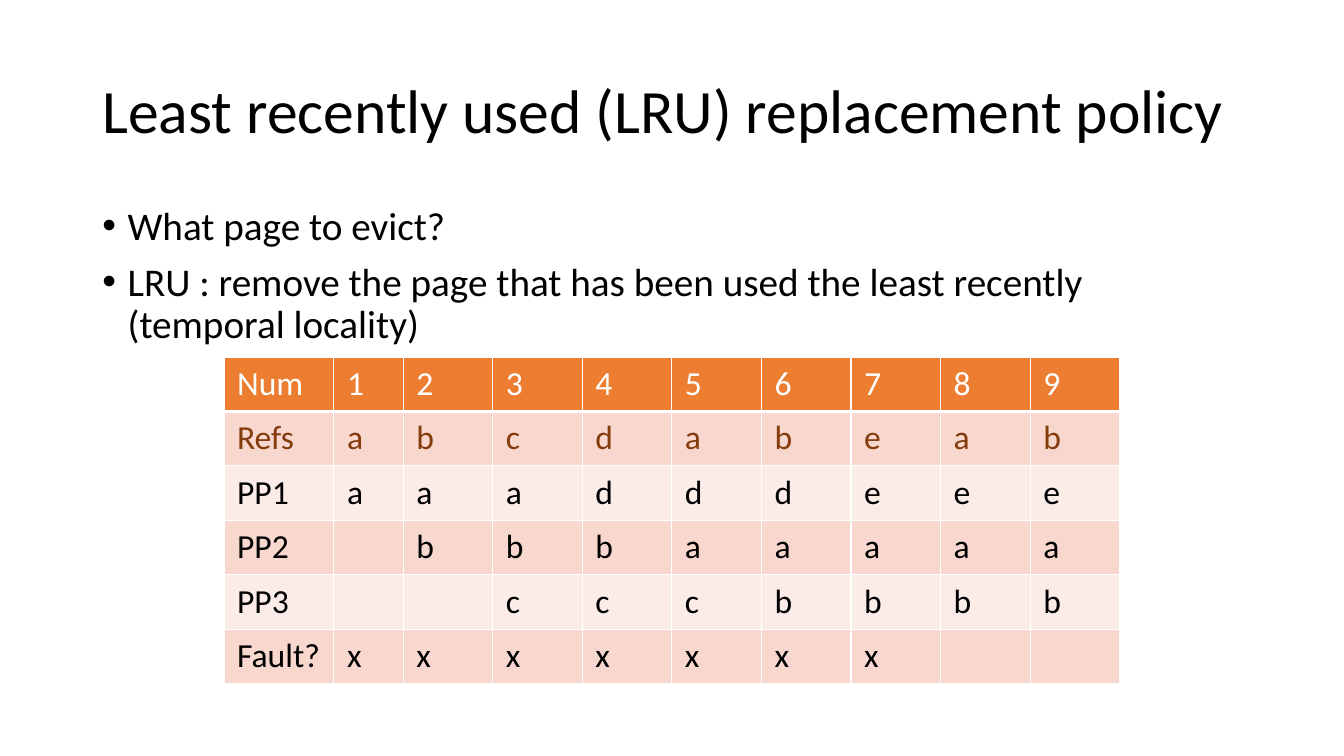
from lxml.etree import SubElement as Sub
from pptx import Presentation
from pptx.dml.color import RGBColor as RGB
from pptx.enum.text import MSO_ANCHOR as Anchor, MSO_AUTO_SIZE as Fit, PP_ALIGN as Align
from pptx.oxml.ns import qn
from pptx.util import Pt

COLORS = {"ink": "000000", "white": "FFFFFF", "head": "ED7D31",
          "refs": "843C0C", "dark": "F8D7CE", "light": "FCECE8"}


class Deck:
    font = "Calibri"

    def __init__(self, wide, high):
        self.show = Presentation()
        self.show.slide_width, self.show.slide_height = Pt(wide), Pt(high)
        self.slide = self.show.slides.add_slide(self.show.slide_layouts[1])

    def style(self, para, size, color):
        para.font.name, para.font.size = self.font, Pt(size)
        para.font.color.rgb = RGB.from_string(COLORS[color])

    def place(self, holder, box, anchor):
        holder.left, holder.top, holder.width, holder.height = map(Pt, box)
        frame = holder.text_frame
        frame.auto_size, frame.vertical_anchor = Fit.NONE, anchor
        return frame

    def title(self, text, box):
        frame = self.place(self.slide.shapes.title, box, Anchor.MIDDLE)
        frame.text = text
        para = frame.paragraphs[0]
        para.alignment, para.line_spacing = Align.LEFT, 0.9
        self.style(para, 44, "ink")

    def bullets(self, items, box):
        frame = self.place(self.slide.placeholders[1], box, Anchor.TOP)
        frame.text = "\n".join(items)
        for para in frame.paragraphs:
            para.line_spacing, para.space_before = 0.9, Pt(10)
            props = para._p.get_or_add_pPr()
            props.set("marL", str(Pt(18)))
            props.set("indent", str(Pt(-18)))
            self.style(para, 28, "ink")

    def edges(self, cell, base):
        props = cell._tc.get_or_add_tcPr()
        for side, width in (("L", 1), ("R", 1), ("T", 1), ("B", base)):
            line = Sub(props, qn("a:ln" + side), w=str(Pt(width)))
            fill = Sub(line, qn("a:solidFill"))
            Sub(fill, qn("a:srgbClr"), val=COLORS["white"])

    def table(self, rows, left, top, widths, high):
        size = len(rows), len(widths)
        grid = self.slide.shapes.add_table(
            *size, Pt(left), Pt(top), Pt(sum(widths)), Pt(high * len(rows))).table
        for col, width in zip(grid.columns, widths):
            col.width = Pt(width)
        for i, (texts, fill, color) in enumerate(rows):
            grid.rows[i].height = Pt(high)
            for cell, text in zip(grid.rows[i].cells, texts):
                cell.margin_left = cell.margin_right = Pt(9.4)
                cell.margin_top = cell.margin_bottom = Pt(4.7)
                self.edges(cell, 1 if i else 3)
                cell.fill.solid()
                cell.fill.fore_color.rgb = RGB.from_string(COLORS[fill])
                cell.text = text
                self.style(cell.text_frame.paragraphs[0], 24, color)


deck = Deck(960, 540)

# Heading and points
deck.title("Least recently used (LRU) replacement policy", (66, 28.75, 828, 104.4))
deck.bullets(["What page to evict?",
              "LRU : remove the page that has been used the least recently "
              "(temporal locality)"], (66, 143.75, 828, 342.6))

# Page trace: one letter per step, a dash for an empty cell
TRACE = [("Num", "123456789", "head", "white"),
         ("Refs", "abcdabeab", "dark", "refs"),
         ("PP1", "aaadddeee", "light", "ink"),
         ("PP2", "-bbbaaaaa", "dark", "ink"),
         ("PP3", "--cccbbbb", "light", "ink"),
         ("Fault?", "xxxxxxx--", "dark", "ink")]
rows = [([name, *(step.strip("-") for step in steps)], fill, color)
        for name, steps, fill, color in TRACE]
deck.table(rows, 160, 255, [78.5, 49.5] + [64] * 8, 38.9)

deck.show.save("out.pptx")
